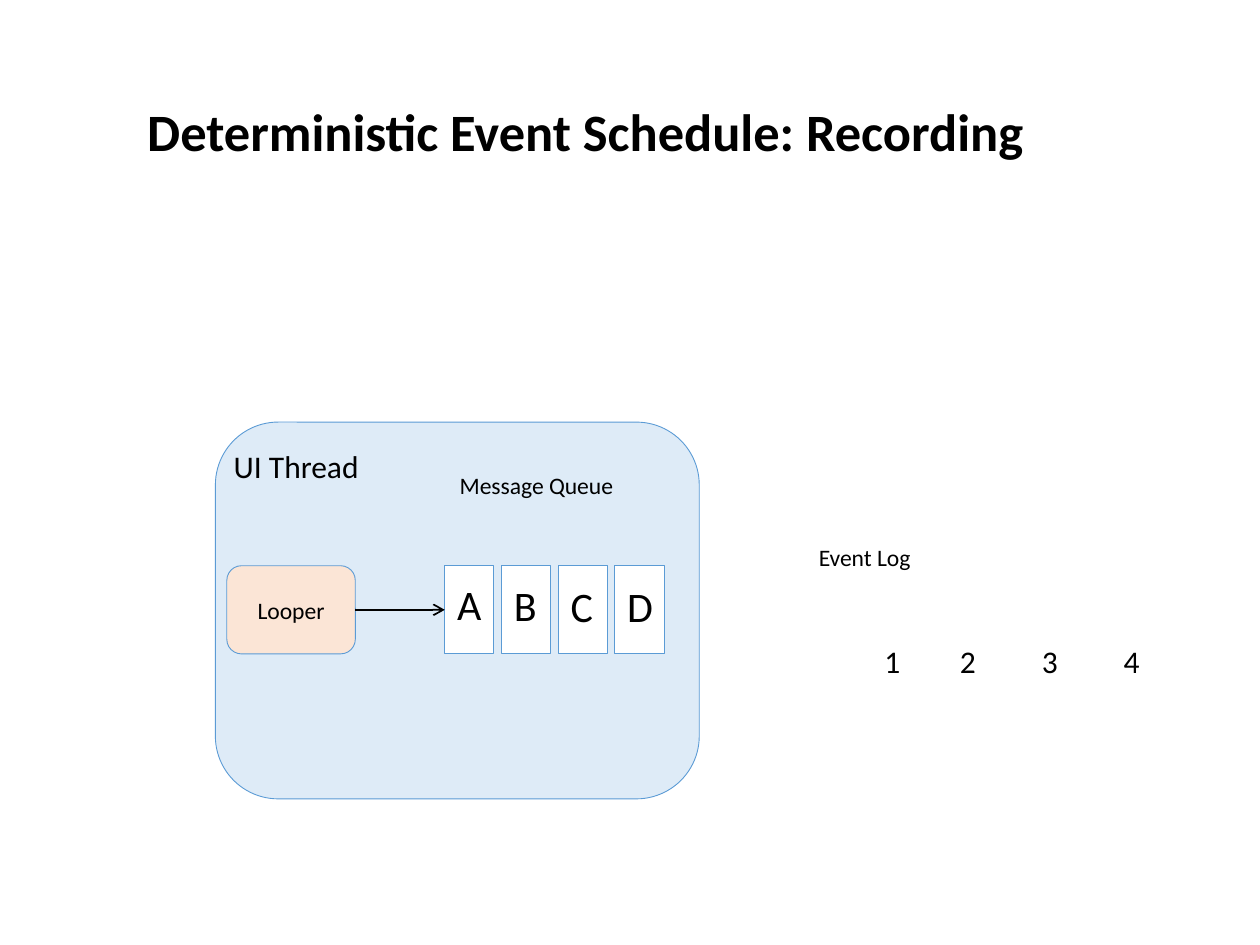
from dataclasses import dataclass

from pptx import Presentation
from pptx.dml.color import RGBColor
from pptx.enum.shapes import MSO_CONNECTOR, MSO_SHAPE
from pptx.enum.text import MSO_ANCHOR, PP_ALIGN
from pptx.oxml.ns import qn
from pptx.util import Inches, Pt
from lxml.etree import SubElement

COLORS = {
    "text": "000000",
    "outline": "5B9BD5",
    "thread": "DEEBF7",
    "looper": "FBE5D6",
    "message": "FFFFFF",
}
FONT = "Calibri"
MESSAGE_LEFT, MESSAGE_PITCH = 3.53, 0.45


@dataclass
class Area:
    left: float
    top: float
    width: float
    height: float

    def lengths(self):
        return [Inches(v) for v in (self.left, self.top, self.width, self.height)]


@dataclass
class Label:
    text: str
    area: Area
    size: float
    align: PP_ALIGN = PP_ALIGN.LEFT
    bold: bool = False
    anchor: MSO_ANCHOR = MSO_ANCHOR.TOP
    line_spacing: float = 1.0


def color(name: str) -> RGBColor:
    return RGBColor.from_string(COLORS[name])


def write(box, text: str, size: float, align=PP_ALIGN.LEFT, bold=False):
    paragraph = box.text_frame.paragraphs[0]
    paragraph.alignment = align
    span = paragraph.add_run()
    span.text = text
    span.font.name = FONT
    span.font.size = Pt(size)
    span.font.bold = bold
    span.font.color.rgb = color("text")
    return paragraph


def add_block(page, preset: MSO_SHAPE, area: Area, fill: str):
    block = page.shapes.add_shape(preset, *area.lengths())
    block.shadow.inherit = False
    block.fill.solid()
    block.fill.fore_color.rgb = color(fill)
    block.line.color.rgb = color("outline")
    block.line.width = Pt(0.5)
    return block


def add_label(page, label: Label) -> None:
    box = page.shapes.add_textbox(*label.area.lengths())
    box.text_frame.word_wrap = True
    box.text_frame.vertical_anchor = label.anchor
    paragraph = write(box, label.text, label.size, label.align, label.bold)
    paragraph.line_spacing = label.line_spacing


def add_arrow(page, start, end) -> None:
    """Join the right side of start to the left side of end."""
    arrow = page.shapes.add_connector(MSO_CONNECTOR.STRAIGHT, 0, 0, 0, 0)
    arrow.begin_connect(start, 3)
    arrow.end_connect(end, 1)
    arrow.line.color.rgb = color("text")
    arrow.line.width = Pt(1)
    SubElement(arrow.line._get_or_add_ln(), qn("a:tailEnd"), type="arrow")
    SubElement(arrow._element.spPr, qn("a:effectLst"))


def main() -> None:
    deck = Presentation()
    deck.slide_width, deck.slide_height = Inches(10), Inches(7.5)
    page = deck.slides.add_slide(deck.slide_layouts[6])

    thread = add_block(page, MSO_SHAPE.ROUNDED_RECTANGLE,
                       Area(1.71, 3.35, 3.84, 2.99), "thread")
    thread.text_frame.vertical_anchor = MSO_ANCHOR.TOP
    thread.text_frame.margin_left = thread.text_frame.margin_right = Inches(0)
    write(thread, "UI Thread", 18)

    looper = add_block(page, MSO_SHAPE.ROUNDED_RECTANGLE,
                       Area(1.8, 4.49, 1.02, 0.7), "looper")
    looper.text_frame.vertical_anchor = MSO_ANCHOR.MIDDLE
    write(looper, "Looper", 13.5, PP_ALIGN.CENTER)

    message_lefts = [MESSAGE_LEFT + i * MESSAGE_PITCH for i in range(4)]
    messages = [
        add_block(page, MSO_SHAPE.RECTANGLE, Area(left, 4.49, 0.39, 0.7), "message")
        for left in message_lefts
    ]
    add_arrow(page, looper, messages[0])

    labels = [
        Label("Message Queue", Area(3.55, 3.69, 1.61, 0.33), 13.5),
        Label("Event Log", Area(6.4, 4.26, 1.26, 0.33), 13.5),
        Label("Deterministic Event Schedule: Recording",
              Area(1.07, 0.34, 8.62, 1.45), 30, bold=True,
              anchor=MSO_ANCHOR.MIDDLE, line_spacing=0.9),
    ]
    letter_tops = (4.54, 4.55, 4.56, 4.56)
    labels += [Label(letter, Area(left, top, 0.36, 0.5), 24)
               for letter, left, top in zip("ABCD", message_lefts, letter_tops)]
    labels += [Label(number, Area(left, 5.05, 0.28, 0.4), 18, PP_ALIGN.JUSTIFY)
               for number, left in zip("1234", (6.92, 7.52, 8.17, 8.82))]
    for label in labels:
        add_label(page, label)

    deck.save("out.pptx")


if __name__ == "__main__":
    main()
